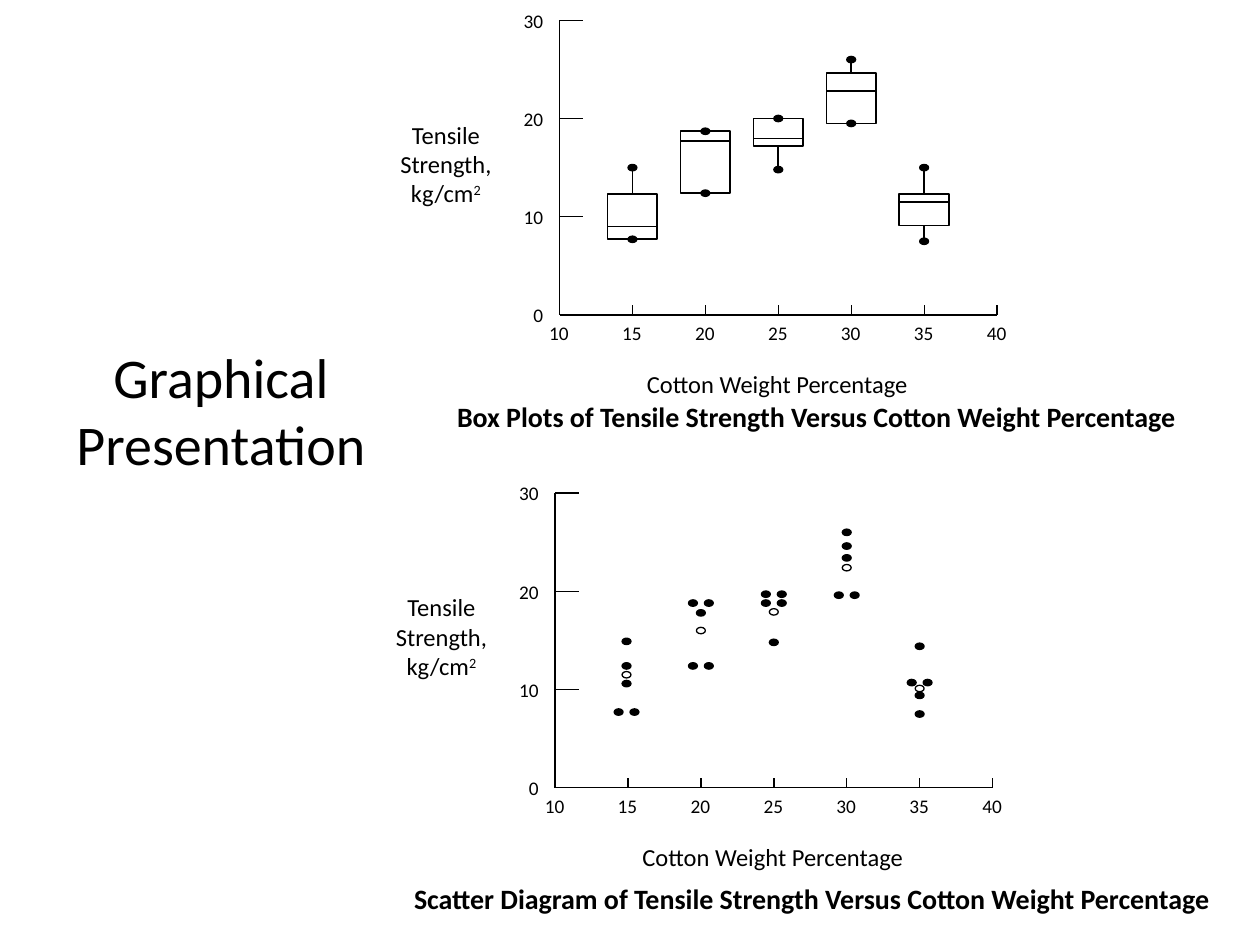
from lxml.etree import SubElement
from pptx import Presentation
from pptx.dml.color import RGBColor
from pptx.enum.shapes import MSO_CONNECTOR, MSO_SHAPE
from pptx.enum.text import PP_ALIGN
from pptx.oxml.ns import qn
from pptx.util import Cm, Pt

BLACK = "000000"
FONT = "Calibri"
X_UNIT, Y_UNIT = 0.294, 0.198
DOT_W, DOT_H = 0.18, 0.13
BOX_W = 1.0
SIDE_GAP = 0.16

# weight percentage: lowest, box bottom, median, box top, highest
BOXES = {
    15: (7.7, 7.7, 9.0, 12.3, 15.0),
    20: (12.4, 12.4, 17.7, 18.7, 18.7),
    25: (14.8, 17.2, 18.0, 20.0, 20.0),
    30: (19.5, 19.5, 22.8, 24.6, 26.0),
    35: (7.5, 9.1, 11.5, 12.3, 15.0),
}
# weight percentage: single dots, side-by-side pairs, mean
POINTS = {
    14.9: ([14.9, 12.4, 10.6], [7.7], 11.5),
    20: ([17.8], [12.4, 18.8], 16.0),
    25: ([14.8], [18.8, 19.7], 17.9),
    30: ([26.0, 24.6, 23.4], [19.6], 22.4),
    35: ([14.4, 9.4, 7.5], [10.7], 10.1),
}


def color(hex_str):
    """Turn a hex string into a colour."""
    return RGBColor.from_string(hex_str)


def add_text(s, x, y, w, h, runs, size, align=PP_ALIGN.CENTER, bold=False, inset=(0, 0)):
    """Add a one-paragraph text box from (text, baseline) runs."""
    tf = s.shapes.add_textbox(Cm(x), Cm(y), Cm(w), Cm(h)).text_frame
    tf.word_wrap = True
    tf.margin_left = tf.margin_right = Cm(inset[0])
    tf.margin_top = tf.margin_bottom = Cm(inset[1])
    p = tf.paragraphs[0]
    p.alignment = align
    for text, baseline in runs:
        r = p.add_run()
        r.text = text
        r.font.name, r.font.size, r.font.bold = FONT, Pt(size), bold
        r.font.color.rgb = color(BLACK)
        if baseline:
            r._r.get_or_add_rPr().set("baseline", str(baseline))


def add_line(s, x1, y1, x2, y2, width=0.75):
    """Add a black straight line without shadow."""
    line = s.shapes.add_connector(MSO_CONNECTOR.STRAIGHT, Cm(x1), Cm(y1), Cm(x2), Cm(y2))
    line.line.color.rgb = color(BLACK)
    line.line.width = Pt(width)
    SubElement(line._element.spPr, qn("a:effectLst"))
    return line


def add_outline(s, kind, x, y, w, h, width=0.75, fill=None):
    """Add a black-edged shape, filled only when a colour is given."""
    sp = s.shapes.add_shape(kind, Cm(x), Cm(y), Cm(w), Cm(h))
    sp.shadow.inherit = False
    sp.line.color.rgb = color(BLACK)
    sp.line.width = Pt(width)
    if fill:
        sp.fill.solid()
        sp.fill.fore_color.rgb = color(fill)
    else:
        sp.fill.background()
    return sp


def add_dot(s, x, y, fill=BLACK):
    """Add a data point centred on x, y."""
    add_outline(s, MSO_SHAPE.OVAL, x - DOT_W / 2, y - DOT_H / 2, DOT_W, DOT_H, fill=fill)


def add_axes(s, x0, y0, caption, caption_gap):
    """Draw axes, ticks, labels and caption; return the x and y scales."""
    def to_x(value):
        return x0 + (value - 10) * X_UNIT

    def to_y(value):
        return y0 - value * Y_UNIT

    add_line(s, x0, to_y(30), x0, y0)
    add_line(s, x0, y0, to_x(40), y0)
    for value in range(0, 31, 10):
        y = to_y(value)
        if value:
            add_line(s, x0, y, x0 + 0.48, y)
        add_text(s, x0 - 1.75, y - 0.23, 1.42, 0.84, [(str(value), 0)], 11, PP_ALIGN.RIGHT)
    for value in range(10, 41, 5):
        x = to_x(value)
        if value > 10:
            add_line(s, x, y0, x, y0 - 0.2)
        add_text(s, x - 0.72, y0 + 0.13, 1.42, 0.84, [(str(value), 0)], 11)
    add_text(s, x0 - 3.29, y0 - 3.94, 2, 1.81,
             [("Tensile Strength, kg/cm", 0), ("2", 30000)], 14)
    add_text(s, x0 + 0.48, y0 + 1.09, 7.82, 0.58, [("Cotton Weight Percentage", 0)], 14)
    add_text(s, x0 - 3.57, y0 + caption_gap, 17.5, 1.19, [(caption, 0)], 16, bold=True)
    return to_x, to_y


def add_box_plot(s, x, to_y, values):
    """Draw one box with its median, whiskers and end points."""
    low, bottom, median, top, high = values
    left = x - BOX_W / 2
    box = add_outline(s, MSO_SHAPE.RECTANGLE, left, to_y(top), BOX_W,
                      to_y(bottom) - to_y(top), width=1)
    add_line(s, left, to_y(median), left + BOX_W, to_y(median))
    for end, edge, site in ((high, top, 0), (low, bottom, 2)):
        if end != edge:
            whisker = add_line(s, x, to_y(edge), x, to_y(end), width=1)
            whisker.begin_connect(box, site)
        add_dot(s, x, to_y(end))


def add_scatter_column(s, x, to_y, singles, pairs, mean):
    """Draw the observations and the open mean of one weight percentage."""
    for value in singles:
        add_dot(s, x, to_y(value))
    for value in pairs:
        for dx in (-SIDE_GAP, SIDE_GAP):
            add_dot(s, x + dx, to_y(value))
    add_dot(s, x, to_y(mean), fill=None)


def main():
    """Build the slide and save it."""
    prs = Presentation()
    prs.slide_width, prs.slide_height = Cm(25.4), Cm(19.05)
    s = prs.slides.add_slide(prs.slide_layouts[6])

    to_x, to_y = add_axes(
        s, 11.28, 6.35, "Box Plots of Tensile Strength Versus Cotton Weight Percentage", 1.7)
    for percentage, values in BOXES.items():
        add_box_plot(s, to_x(percentage), to_y, values)

    to_x, to_y = add_axes(
        s, 11.19, 15.88,
        "Scatter Diagram of Tensile Strength Versus Cotton Weight Percentage", 1.9)
    for percentage, groups in POINTS.items():
        add_scatter_column(s, to_x(percentage), to_y, *groups)

    add_text(s, 0.43, 6.78, 8.05, 3, [("Graphical Presentation", 0)], 32, inset=(0.25, 0.13))
    prs.save("out.pptx")


if __name__ == "__main__":
    main()
